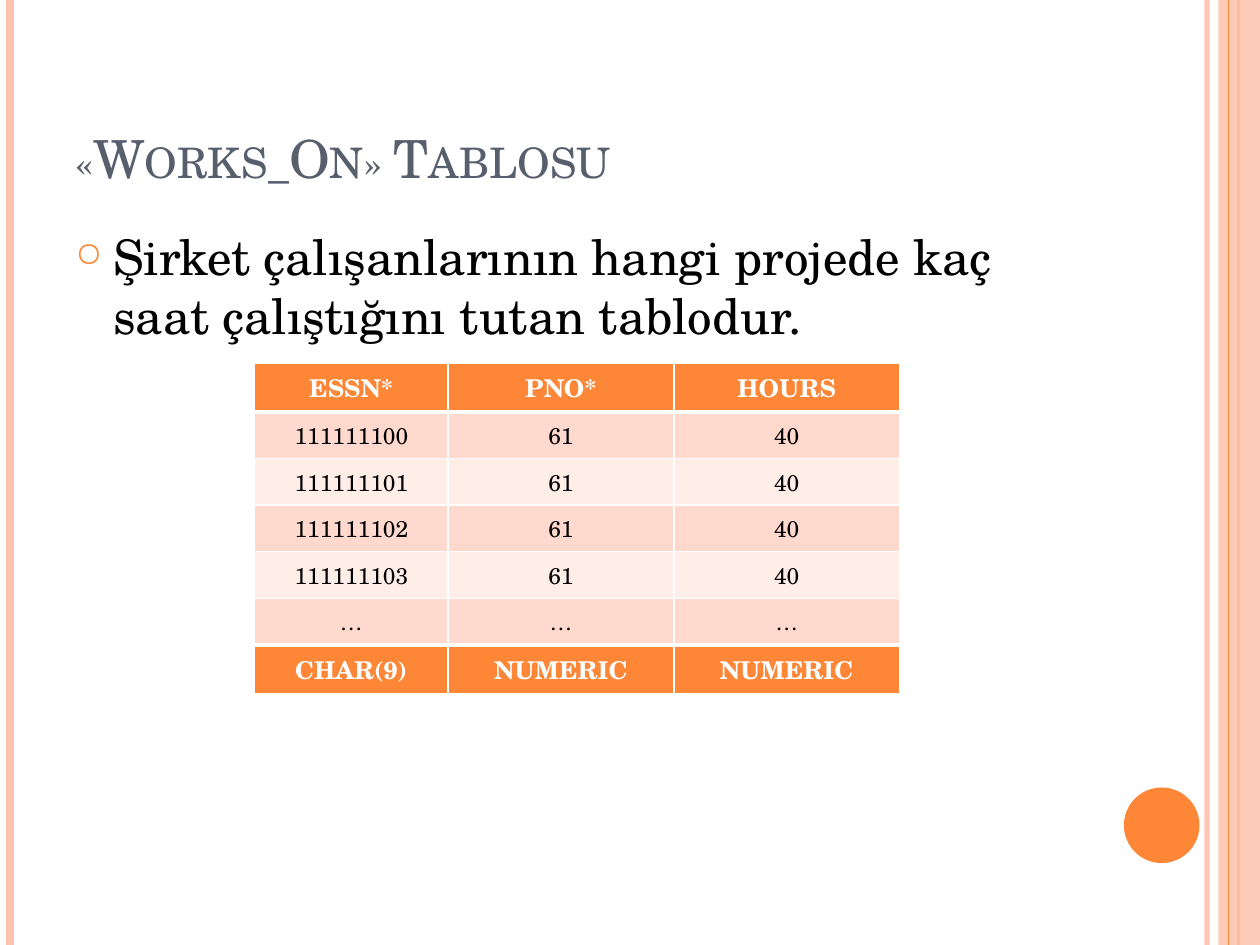
from lxml import etree
from pptx import Presentation
from pptx.dml.color import RGBColor
from pptx.enum import shapes, text
from pptx.oxml import ns
from pptx.util import Inches, Pt

FONT = "TeX Gyre Schola"
ORANGE = RGBColor(0xFE, 0x86, 0x37)
PEACH = RGBColor(0xFE, 0xC3, 0xAE)
SLATE = RGBColor(0x57, 0x5F, 0x6D)
BAND_DARK = RGBColor(0xFF, 0xD9, 0xCE)
BAND_LIGHT = RGBColor(0xFF, 0xED, 0xE8)
WHITE = RGBColor(0xFF, 0xFF, 0xFF)
BLACK = RGBColor(0, 0, 0)

ROWS = [
    ("ESSN*", "PNO*", "HOURS"),
    *[(f"11111110{digit}", "61", "40") for digit in range(4)],
    ("…", "…", "…"),
    ("CHAR(9)", "NUMERIC", "NUMERIC"),
]


def add_element(parent, tag, **attributes):
    """Append a DrawingML element to its parent."""
    return etree.SubElement(parent, ns.qn(tag), attributes)


def set_opacity(shape, percent):
    """Make the first colour of a shape partly transparent."""
    color = next(shape._element.spPr.iter(ns.qn("a:srgbClr")))
    add_element(color, "a:alpha", val=str(percent * 1000))


def format_text(paragraph, size, color, bold=False):
    """Format every run of a paragraph."""
    for run in paragraph.runs:
        run.font.name = FONT
        run.font.size = Pt(size)
        run.font.color.rgb = color
        run.font.bold = bold


def add_stripe(slide, x, top, height, color, width):
    """Draw a vertical line and return it."""
    line = slide.shapes.add_connector(
        shapes.MSO_CONNECTOR.STRAIGHT, x, top, x, top + height)
    line.line.color.rgb = color
    line.line.width = Pt(width)
    add_element(line._element.spPr, "a:effectLst")
    return line


def add_solid(slide, kind, left, top, width, height, color):
    """Draw a filled shape without outline and return it."""
    shape = slide.shapes.add_shape(kind, left, top, width, height)
    shape.shadow.inherit = False
    shape.fill.solid()
    shape.fill.fore_color.rgb = color
    shape.line.fill.background()
    return shape


def add_frame(slide, left, top, width, height):
    """Draw the side stripes, the right band and the disc."""
    right = left + width
    inner = add_stripe(slide, right - Inches(0.42), top, height, PEACH, 3)
    set_opacity(inner, 93)
    add_stripe(slide, left + Inches(0.08), top, height, PEACH, 4.5)
    add_stripe(slide, right - Inches(0.17), top, height, ORANGE, 1.5)
    band = add_solid(slide, shapes.MSO_SHAPE.RECTANGLE, right - Inches(0.33), top,
                     Inches(0.33), height, PEACH)
    set_opacity(band, 87)
    add_stripe(slide, right - Inches(0.25), top, height, ORANGE, 0.75)
    add_solid(slide, shapes.MSO_SHAPE.OVAL, right - Inches(1.08),
              top + height - Inches(1.25), Inches(0.6), Inches(0.6), ORANGE)


def add_text(slide, left, top, width, height, words, size, color):
    """Place a wrapped paragraph in a box and return its text frame."""
    frame = slide.shapes.add_textbox(left, top, width, height).text_frame
    frame.word_wrap = True
    frame.text = words
    format_text(frame.paragraphs[0], size, color)
    return frame


def add_title(slide, left, top, width, height):
    """Place the title in small capitals at the bottom of its box."""
    frame = add_text(slide, left, top, width, height, "«Works_On» Tablosu", 30, SLATE)
    frame.vertical_anchor = text.MSO_ANCHOR.BOTTOM
    frame.paragraphs[0].runs[0]._r.get_or_add_rPr().set("cap", "small")


def add_body(slide, left, top, width, height):
    """Place the bulleted description."""
    words = "Şirket çalışanlarının hangi projede kaç saat çalıştığını tutan tablodur."
    paragraph = add_text(slide, left, top, width, height, words, 28, BLACK).paragraphs[0]
    paragraph.space_before = Pt(6)
    properties = paragraph._p.get_or_add_pPr()
    properties.set("marL", str(Inches(0.3)))
    properties.set("indent", str(-Inches(0.3)))
    bullet_color = add_element(properties, "a:buClr")
    add_element(bullet_color, "a:srgbClr", val=str(ORANGE))
    add_element(properties, "a:buSzPct", val="70000")
    add_element(properties, "a:buChar", char="○")


def set_borders(cell, top, bottom):
    """Give a cell white borders, placed before its fill."""
    properties = cell._tc.get_or_add_tcPr()
    widths = {"a:lnL": 1, "a:lnR": 1, "a:lnT": top, "a:lnB": bottom}
    for index, (tag, width) in enumerate(widths.items()):
        border = add_element(properties, tag, w=str(Pt(width)))
        fill = add_element(border, "a:solidFill")
        add_element(fill, "a:srgbClr", val=str(WHITE))
        properties.insert(index, border)


def add_works_on_table(slide, left, top, width, height):
    """Place the table with its header, banded rows and type row."""
    last = len(ROWS) - 1
    table = slide.shapes.add_table(
        len(ROWS), len(ROWS[0]), left, top, width, height).table
    for column, share in zip(table.columns, (0.3, 0.35, 0.35)):
        column.width = int(width * share)
    for i, values in enumerate(ROWS):
        strong = i in (0, last)
        table.rows[i].height = Inches(0.39 if strong else 0.37)
        band = BAND_DARK if i % 2 else BAND_LIGHT
        for j, value in enumerate(values):
            cell = table.cell(i, j)
            cell.text = value
            cell.vertical_anchor = text.MSO_ANCHOR.MIDDLE
            cell.fill.solid()
            cell.fill.fore_color.rgb = ORANGE if strong else band
            paragraph = cell.text_frame.paragraphs[0]
            paragraph.alignment = text.PP_ALIGN.CENTER
            format_text(paragraph, 14 if strong else 13, WHITE if strong else BLACK, strong)
            set_borders(cell, 3 if i in (1, last) else 1, 3 if i in (0, last - 1) else 1)


def main():
    """Build and save the slide."""
    presentation = Presentation()
    presentation.slide_width = Inches(10)
    presentation.slide_height = Inches(7.5)
    slide = presentation.slides.add_slide(presentation.slide_layouts[6])
    add_frame(slide, 0, 0, Inches(10), Inches(7.5))
    add_title(slide, Inches(0.5), Inches(0.3), Inches(8.17), Inches(1.25))
    add_works_on_table(slide, Inches(2.02), Inches(2.88), Inches(5.12), Inches(2.63))
    add_body(slide, Inches(0.5), Inches(1.75), Inches(8.17), Inches(1.37))
    presentation.save("out.pptx")


if __name__ == "__main__":
    main()
